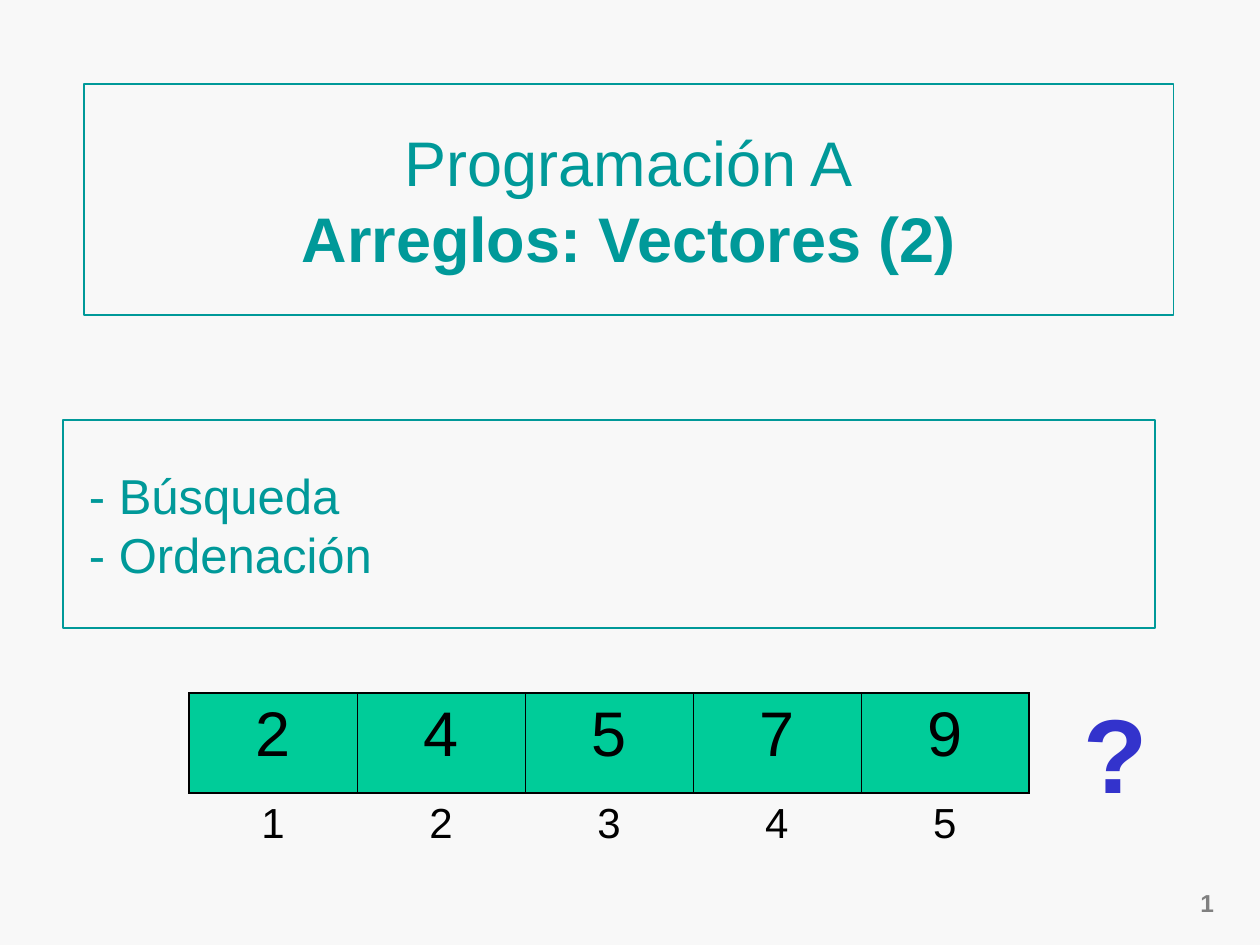
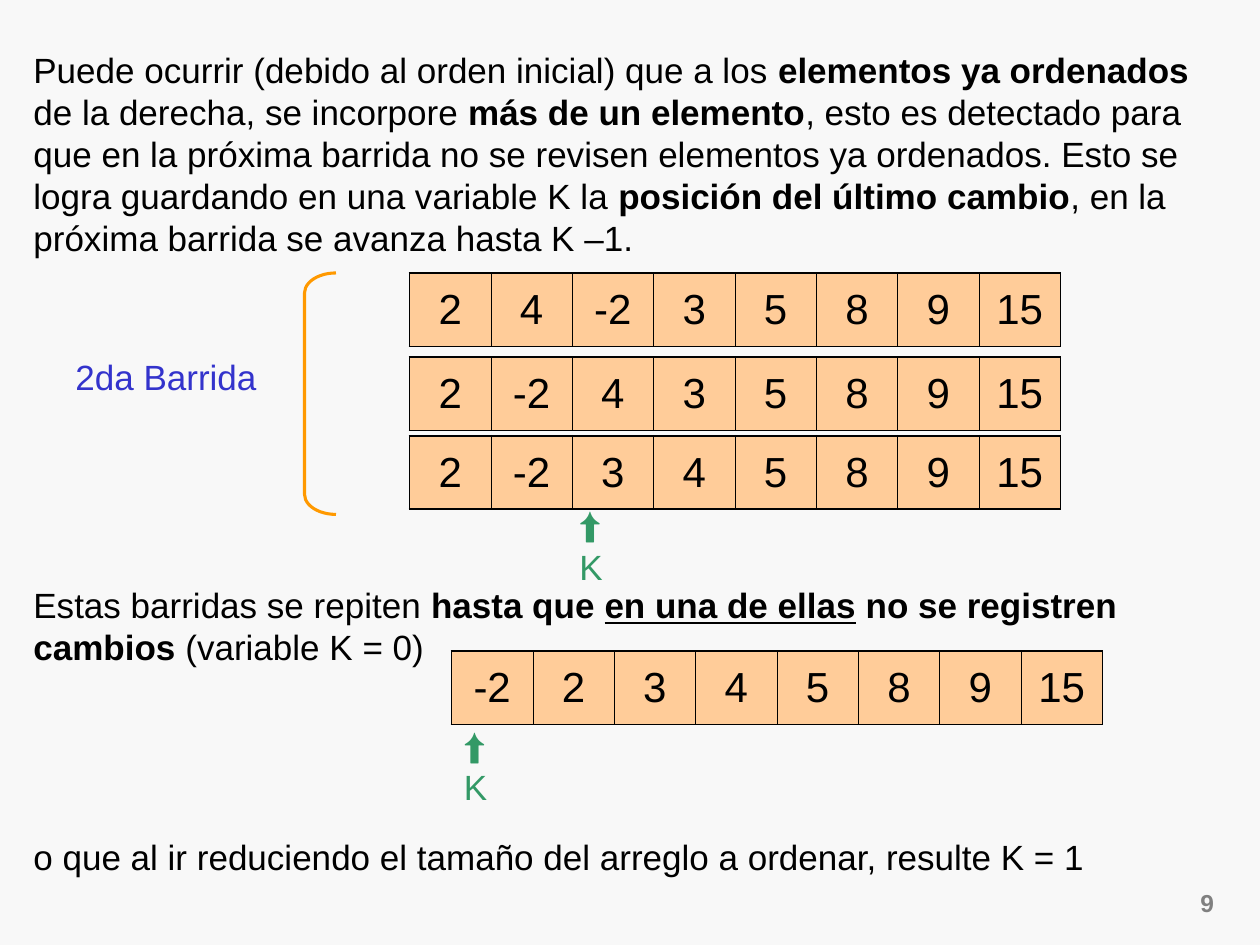
from lxml import etree
from pptx import Presentation
from pptx import util as u
from pptx.dml.color import RGBColor
from pptx.enum import shapes, text
from pptx.oxml import ns

PAPER = RGBColor(0xF8, 0xF8, 0xF8)
TEAL = RGBColor(0x00, 0x99, 0x99)
MINT = RGBColor(0x00, 0xCC, 0x99)
PEACH = RGBColor(0xFF, 0xCC, 0x99)
GREEN = RGBColor(0x33, 0x99, 0x66)
BLUE = RGBColor(0x33, 0x33, 0xCC)
AMBER = RGBColor(0xFF, 0x99, 0x00)
GRAY = RGBColor(0x80, 0x80, 0x80)
BLACK = RGBColor(0, 0, 0)

FONT = "Arial"
COLS, ROWS = 120, 90
WIDE, HIGH = u.Inches(10), u.Inches(7.5)
THICK, THIN = 1.08, 0.45
PLAIN = "{2D5ABB26-0587-4C30-8999-92F81FD0307C}"
LEFT, MID, RIGHT = text.PP_ALIGN.LEFT, text.PP_ALIGN.CENTER, text.PP_ALIGN.RIGHT
BOLD = {"bold": True}
UNDER = {"bold": True, "underline": True}


def place(box):
    x, y, w, h = box
    return [int(n) for n in (x * WIDE / COLS, y * HIGH / ROWS,
                             w * WIDE / COLS, h * HIGH / ROWS)]


def assign(item, values):
    for name, value in values.items():
        setattr(item, name, value)


def write(frame, paras, size, color, align=LEFT, **form):
    for i, runs in enumerate(paras):
        para = frame.paragraphs[0] if i == 0 else frame.add_paragraph()
        assign(para, {"alignment": align, **form})
        for words, style in runs:
            for j, line in enumerate(words.split("\n")):
                if j:
                    para.add_line_break()
                if line:
                    run = para.add_run()
                    run.text = line
                    assign(run.font, {"name": FONT, "size": u.Pt(size), **style})
                    run.font.color.rgb = color


def label(slide, box, paras, size, color, align=LEFT, **form):
    frame = slide.shapes.add_textbox(*place(box)).text_frame
    assign(frame, {"word_wrap": True,
                   "auto_size": text.MSO_AUTO_SIZE.SHAPE_TO_FIT_TEXT})
    write(frame, paras, size, color, align, **form)


def prose(slide, box, *runs):
    label(slide, box, [runs], 20, BLACK, space_before=u.Pt(12.5))


def outline(shape):
    shape.fill.background()
    shape.line.color.rgb = TEAL
    shape.line.width = u.Pt(0.75)
    assign(shape.text_frame, {"word_wrap": True,
                              "vertical_anchor": text.MSO_ANCHOR.MIDDLE})


def edge(cell, first, last):
    sides = {"L": THICK if first else THIN, "R": THICK if last else THIN,
             "T": THICK, "B": THICK}
    props = cell._tc.get_or_add_tcPr()
    for i, (side, width) in enumerate(sides.items()):
        line = etree.Element(ns.qn("a:ln" + side), w=str(u.Pt(width)))
        fill = etree.SubElement(line, ns.qn("a:solidFill"))
        etree.SubElement(fill, ns.qn("a:srgbClr"), val=str(BLACK))
        props.insert(i, line)


def vector(slide, box, values, color, size=24, gap=6,
           anchor=text.MSO_ANCHOR.MIDDLE, index=0):
    x, y, w, h = box
    count = len(values)
    frame = slide.shapes.add_table(2 if index else 1, count,
                                   *place((x, y, w, h + index)))
    frame.element.xpath(".//a:tableStyleId")[0].text = PLAIN
    grid = frame.table
    assign(grid, {"first_row": False, "horz_banding": False})
    for row, tall in zip(grid.rows, (h, index)):
        row.height = int(tall * HIGH / ROWS)
    for i, value in enumerate(values):
        cell = grid.cell(0, i)
        cell.fill.solid()
        cell.fill.fore_color.rgb = color
        cell.vertical_anchor = anchor
        edge(cell, i == 0, i == count - 1)
        write(cell.text_frame, [[(str(value), {})]], size, BLACK, MID,
              space_before=u.Pt(gap))
        if index:
            cell = grid.cell(1, i)
            cell.fill.background()
            cell.vertical_anchor = text.MSO_ANCHOR.MIDDLE
            write(cell.text_frame, [[(str(i + 1), {})]], 24, BLACK, MID,
                  space_before=u.Pt(6))


def marker(slide, x, y):
    label(slide, (x, y, 8, 7.3), [[("⬆", {})], [("K", {})]], 20, GREEN,
          line_spacing=0.5, space_before=u.Pt(12.5))


def number(slide, value):
    label(slide, (109, 84, 7.8, 4), [[(str(value), BOLD)]], 14, GRAY, RIGHT)


def heading(slide, box):
    title = slide.shapes.title
    assign(title, dict(zip(("left", "top", "width", "height"), place(box))))
    outline(title)
    write(title.text_frame, [[("Programación A\n", {}),
                              ("Arreglos: Vectores (2)", BOLD)]], 36, TEAL, MID)


def topics(slide, box):
    panel = slide.shapes.add_shape(shapes.MSO_SHAPE.RECTANGLE, *place(box))
    panel.shadow.inherit = False
    outline(panel)
    write(panel.text_frame, [[(" - Búsqueda\n - Ordenación", {})]], 28, TEAL)


def sample(slide, box):
    x, y, w, h = box
    vector(slide, (x, y, w, h), (2, 4, 5, 7, 9), MINT, 36, 9,
           text.MSO_ANCHOR.TOP, 6)
    label(slide, (x + w + 4, y - 1, 8, 13.2), [[("?", BOLD)]], 60, BLUE,
          space_before=u.Pt(37.5))


def sweep(slide, box):
    x, y, w, h = box
    steps = ((0, (2, 4, -2, 3, 5, 8, 9, 15)),
             (8, (2, -2, 4, 3, 5, 8, 9, 15)),
             (15.5, (2, -2, 3, 4, 5, 8, 9, 15)))
    for drop, values in steps:
        vector(slide, (x + 33, y + drop, w - 33, 7), values, PEACH)
    marker(slide, x + 48, y + h)
    label(slide, (x, y + 9, 21.2, 3.2), [[("2da Barrida", {})]], 20, BLUE,
          line_spacing=0.5, space_before=u.Pt(12.5))
    brace = slide.shapes.add_shape(shapes.MSO_SHAPE.LEFT_BRACKET,
                                   *place((x + 23, y, 3, h)))
    brace.shadow.inherit = False
    brace.adjustments[0] = 0.64
    brace.fill.background()
    brace.line.color.rgb = AMBER
    brace.line.width = u.Pt(1.75)


def finish(slide, box):
    x, y, w, h = box
    vector(slide, (x, y, w, h), (-2, 2, 3, 4, 5, 8, 9, 15), PEACH)
    marker(slide, x, y + h + 1)


def cover(deck):
    slide = deck.slides.add_slide(deck.slide_layouts[5])
    heading(slide, (8, 8, 103.8, 22))
    topics(slide, (6, 40, 104, 19.8))
    sample(slide, (18, 66, 80, 9.5))
    number(slide, 1)


def passes(deck):
    slide = deck.slides.add_slide(deck.slide_layouts[6])
    prose(slide, (2, 4, 116, 21.2),
          ("Puede ocurrir (debido al orden inicial) que a los ", {}),
          ("elementos ya ordenados", BOLD),
          (" de la derecha, se incorpore ", {}),
          ("más de un elemento", BOLD),
          (", esto es detectado para que en la próxima barrida no se revisen "
           "elementos ya ordenados. Esto se logra guardando en una variable K la ", {}),
          ("posición del último cambio", BOLD),
          (", en la próxima barrida se avanza hasta K –1.", {}))
    prose(slide, (2, 55, 118, 9.2),
          ("Estas barridas se repiten ", {}), ("hasta que ", BOLD),
          ("en una de ellas", UNDER), (" no se registren cambios", BOLD),
          (" (variable K = 0)", {}))
    sweep(slide, (6, 26, 95, 23))
    finish(slide, (43, 62, 62, 7))
    prose(slide, (2, 79, 118, 5.3),
          ("o que al ir reduciendo el tamaño del arreglo a ordenar, "
           "resulte K = 1", {}))
    number(slide, 9)


def main():
    deck = Presentation()
    assign(deck, {"slide_width": WIDE, "slide_height": HIGH})
    back = deck.slide_master.background.fill
    back.solid()
    back.fore_color.rgb = PAPER
    cover(deck)
    passes(deck)
    deck.save("out.pptx")


if __name__ == "__main__":
    main()
